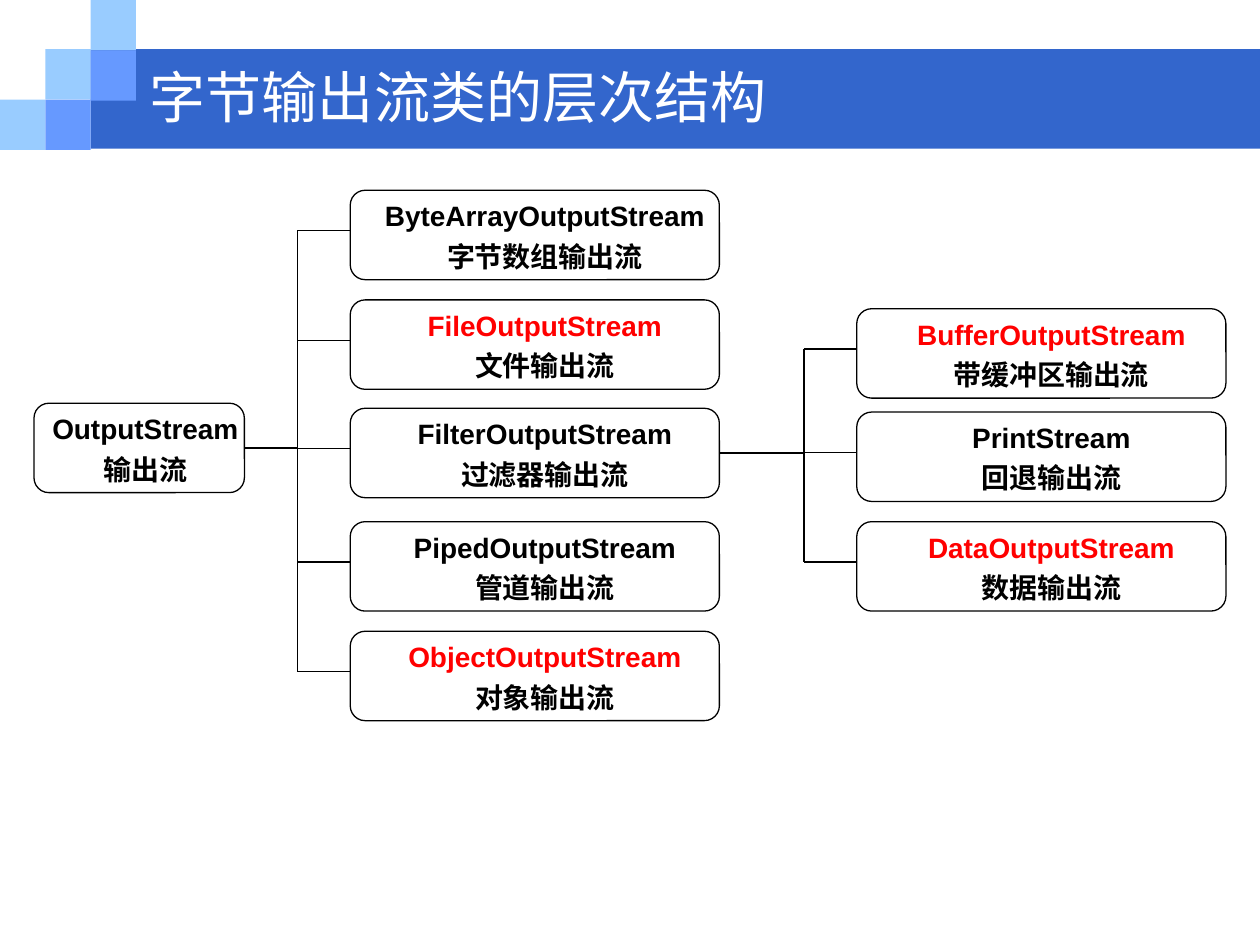
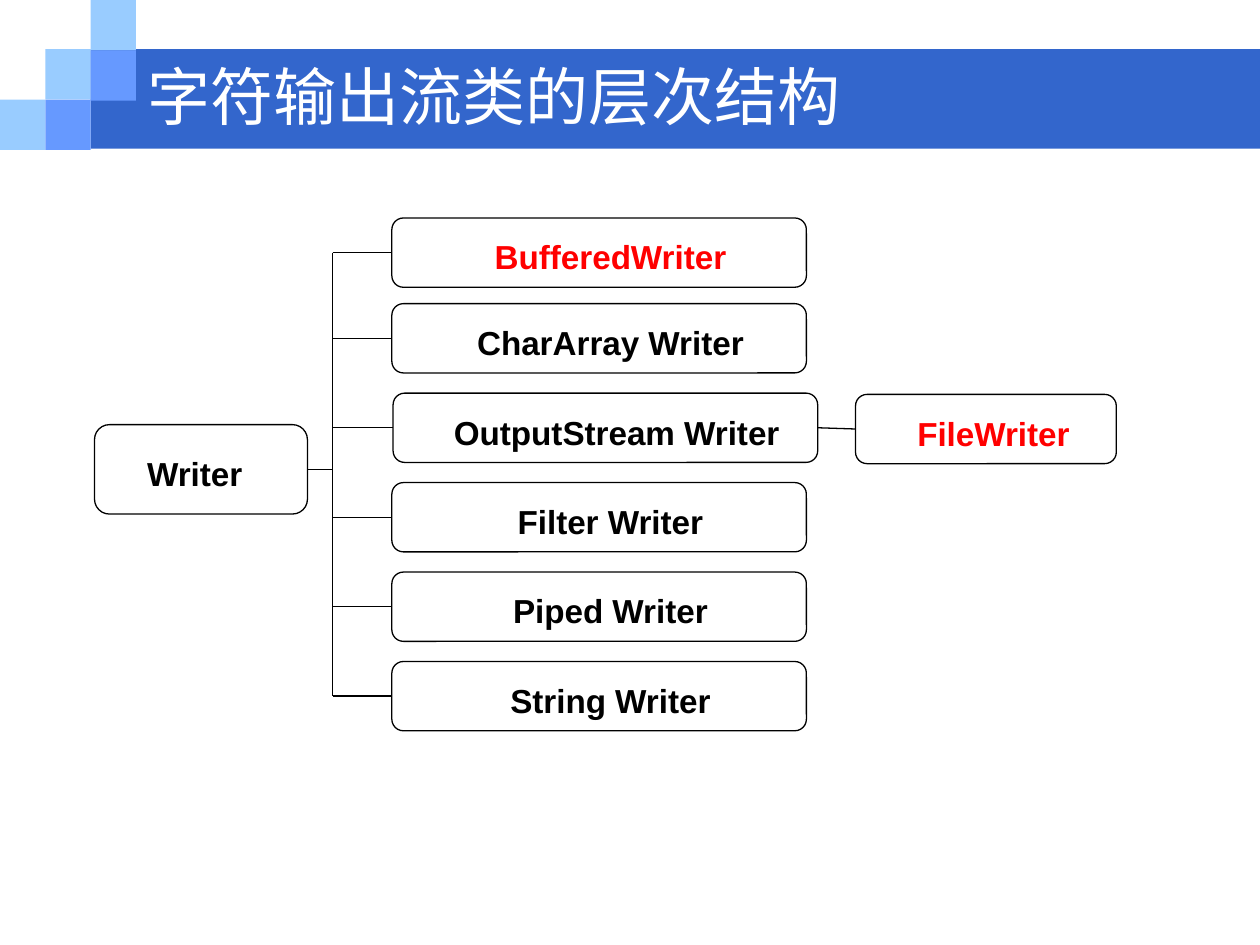
from dataclasses import dataclass

from lxml.etree import SubElement
from pptx import Presentation
from pptx.dml.color import RGBColor as Color
from pptx.enum.shapes import MSO_CONNECTOR as Connector, MSO_SHAPE as Preset
from pptx.enum.text import MSO_ANCHOR as Anchor, MSO_AUTO_SIZE as AutoSize, PP_ALIGN as Align
from pptx.oxml.ns import qn
from pptx.util import Inches, Pt

RIGHT, LEFT = 3, 1


@dataclass(frozen=True)
class Theme:
    band: Color = Color(0x33, 0x66, 0xCC)
    pale: Color = Color(0x99, 0xCC, 0xFF)
    mid: Color = Color(0x66, 0x99, 0xFF)
    white: Color = Color(0xFF, 0xFF, 0xFF)
    ink: Color = Color(0, 0, 0)
    key: Color = Color(0xFF, 0, 0)
    latin: str = "Arial"
    cjk: str = "Noto Sans CJK SC"
    stream_size: int = 16
    writer_size: int = 19
    stroke: float = 0.75


THEME = Theme()


def add_span(para, text, size, color, face, bold=False):
    span = para.add_run()
    span.text = text
    span.font.size = Pt(size)
    span.font.bold = bold
    span.font.color.rgb = color
    span.font.name = face
    SubElement(span.font._element, qn("a:ea"), typeface=THEME.cjk)


def set_insets(frame, left, top, right, bottom):
    frame.margin_left, frame.margin_top = Inches(left), Inches(top)
    frame.margin_right, frame.margin_bottom = Inches(right), Inches(bottom)


def add_block(page, left, top, width, height, color):
    block = page.shapes.add_shape(
        Preset.RECTANGLE, Inches(left), Inches(top), Inches(width), Inches(height))
    block.shadow.inherit = False
    block.fill.solid()
    block.fill.fore_color.rgb = color
    block.line.fill.background()
    return block


def move_band_to_layout(page):
    blocks = [add_block(page, 0.72, 0.39, 9.28, 0.79, THEME.band)]
    for left, top, color in [
        (0, 0.79, THEME.pale), (0.36, 0.39, THEME.pale), (0.72, 0, THEME.pale),
        (0.72, 0.4, THEME.mid), (0.36, 0.79, THEME.mid),
    ]:
        blocks.append(add_block(page, left, top, 0.36, 0.4, color))
    for block in blocks:
        page.slide_layout.shapes.element.append(block.element)


def add_page(deck, heading, size, left, top, width, height, inset):
    page = deck.slides.add_slide(deck.slide_layouts[5])
    title = page.shapes.title
    title.left, title.top = Inches(left), Inches(top)
    title.width, title.height = Inches(width), Inches(height)
    frame = title.text_frame
    frame.word_wrap = True
    frame.auto_size = AutoSize.NONE
    frame.vertical_anchor = Anchor.MIDDLE
    set_insets(frame, inset, 0.01, inset, 0.01)
    para = frame.paragraphs[0]
    para.alignment = Align.LEFT
    add_span(para, heading, size, THEME.white, THEME.cjk)
    return page


def add_class_box(page, left, top, width, height, lines, size, key=False, shift=0.0, lift=0.0):
    box = page.shapes.add_shape(
        Preset.ROUNDED_RECTANGLE, Inches(left), Inches(top), Inches(width), Inches(height))
    box.adjustments[0] = 0.167
    box.shadow.inherit = False
    box.fill.background()
    box.line.color.rgb = THEME.ink
    box.line.width = Pt(THEME.stroke)
    frame = box.text_frame
    frame.word_wrap = True
    frame.vertical_anchor = Anchor.MIDDLE
    set_insets(frame, max(0, 2 * shift), 0, max(0, -2 * shift), 2 * lift)
    for index, text in enumerate(lines):
        para = frame.add_paragraph() if index else frame.paragraphs[0]
        para.alignment = Align.CENTER
        para.line_spacing = 1.2
        color = THEME.key if key and index == 0 else THEME.ink
        add_span(para, text, size, color, THEME.latin, bold=True)
    return box


def add_stroke(page, x1, y1, x2, y2):
    stroke = page.shapes.add_connector(Connector.STRAIGHT, x1, y1, x2, y2)
    stroke.line.color.rgb = THEME.ink
    stroke.line.width = Pt(THEME.stroke)
    SubElement(stroke._element.spPr, qn("a:effectLst"))
    return stroke


def middle(box):
    return box.top + box.height // 2


def add_stub(page, box, trunk):
    stub = add_stroke(page, box.left + box.width, middle(box), Inches(trunk), middle(box))
    stub.begin_connect(box, RIGHT)


def add_branches(page, boxes, trunk, drop=None):
    levels = [middle(box) if drop is None else box.top + Inches(drop) for box in boxes]
    for box, level in zip(boxes, levels):
        spur = add_stroke(page, Inches(trunk), level, box.left, level)
        if drop is None:
            spur.end_connect(box, LEFT)
    add_stroke(page, Inches(trunk), levels[0], Inches(trunk), levels[-1])


def add_stream_column(page, left, rows):
    return [
        add_class_box(page, left, top, 2.93, 0.71, (name, label), THEME.stream_size,
                      key, shift=0.08, lift=0.02)
        for top, name, label, key in rows
    ]


def build_stream_page(deck):
    page = add_page(deck, "字节输出流类的层次结构", 32, 1.15, 0.48, 7.39, 0.56, 0.04)
    root = add_class_box(page, 0.27, 3.2, 1.67, 0.71, ("OutputStream", "输出流"),
                         THEME.stream_size, shift=0.05, lift=0.02)
    streams = add_stream_column(page, 2.78, [
        (1.51, "ByteArrayOutputStream", "字节数组输出流", False),
        (2.38, "FileOutputStream", "文件输出流", True),
        (3.24, "FilterOutputStream", "过滤器输出流", False),
        (4.14, "PipedOutputStream", "管道输出流", False),
        (5.01, "ObjectOutputStream", "对象输出流", True),
    ])
    filters = add_stream_column(page, 6.8, [
        (2.45, "BufferOutputStream", "带缓冲区输出流", True),
        (3.27, "PrintStream", "回退输出流", False),
        (4.14, "DataOutputStream", "数据输出流", True),
    ])
    add_stub(page, root, 2.36)
    add_branches(page, streams, 2.36, drop=0.32)
    add_stub(page, streams[2], 6.38)
    add_branches(page, filters, 6.38, drop=0.32)
    return page


def build_writer_page(deck):
    page = add_page(deck, "字符输出流类的层次结构", 36, 1.07, 0.29, 8.26, 0.94, 0.1)
    size = THEME.writer_size
    root = add_class_box(page, 0.75, 3.37, 1.69, 0.71, ["Writer"], size, shift=-0.05)
    writers = [add_class_box(page, 3.11, 1.73, 3.29, 0.55, ["BufferedWriter"], size,
                             key=True, shift=0.09)]
    names = ["CharArray Writer", "OutputStream Writer", "Filter Writer",
             "Piped Writer", "String Writer"]
    for index, name in enumerate(names):
        left, width = (3.12, 3.37) if name == "OutputStream Writer" else (3.11, 3.29)
        writers.append(add_class_box(page, left, 2.41 + 0.71 * index, width, 0.55,
                                     [name], size, shift=0.09))
    file_writer = add_class_box(page, 6.79, 3.13, 2.07, 0.55, ["FileWriter"], size,
                                key=True, shift=0.06)
    add_stub(page, root, 2.64)
    add_branches(page, writers, 2.64)
    stream_writer = writers[2]
    link = add_stroke(page, stream_writer.left + stream_writer.width, middle(stream_writer),
                      file_writer.left, middle(file_writer))
    link.begin_connect(stream_writer, RIGHT)
    link.end_connect(file_writer, LEFT)


def main():
    deck = Presentation()
    deck.slide_width, deck.slide_height = Inches(10), Inches(7.5)
    stream_page = build_stream_page(deck)
    move_band_to_layout(stream_page)
    build_writer_page(deck)
    deck.save("out.pptx")


if __name__ == "__main__":
    main()
